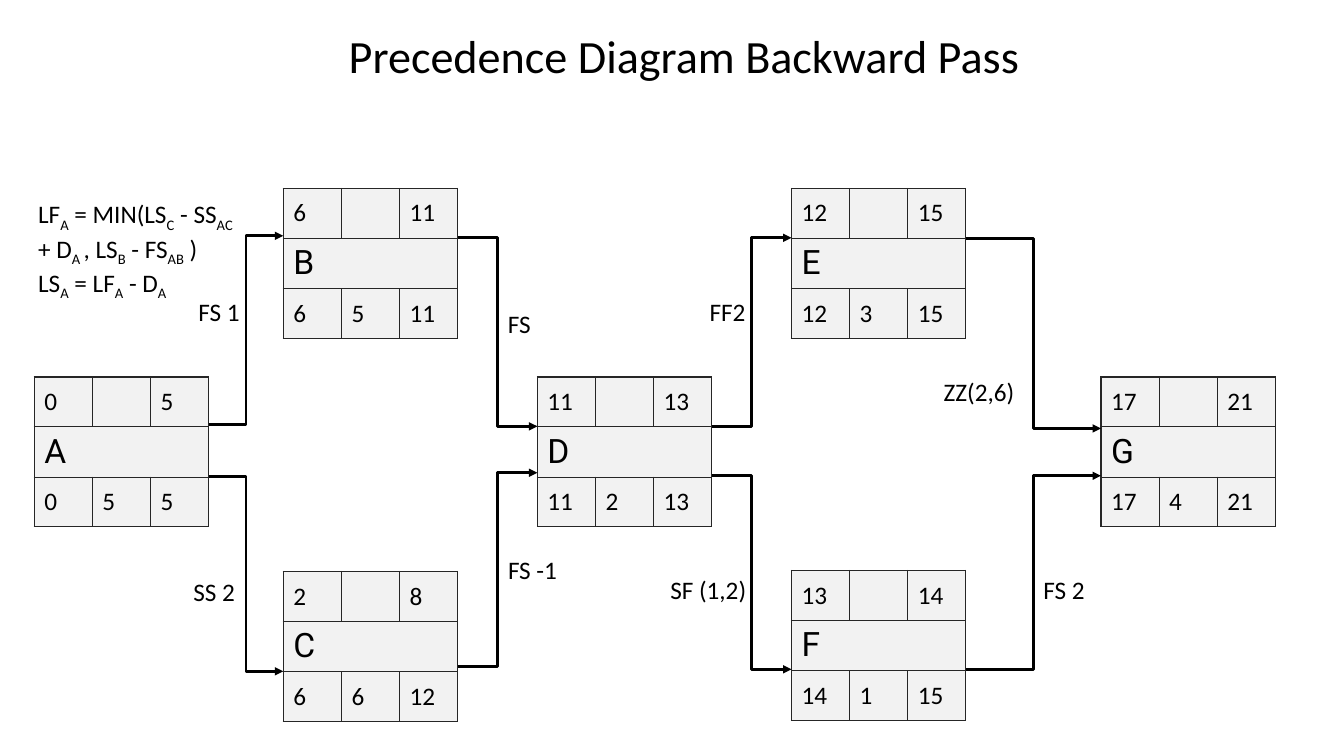
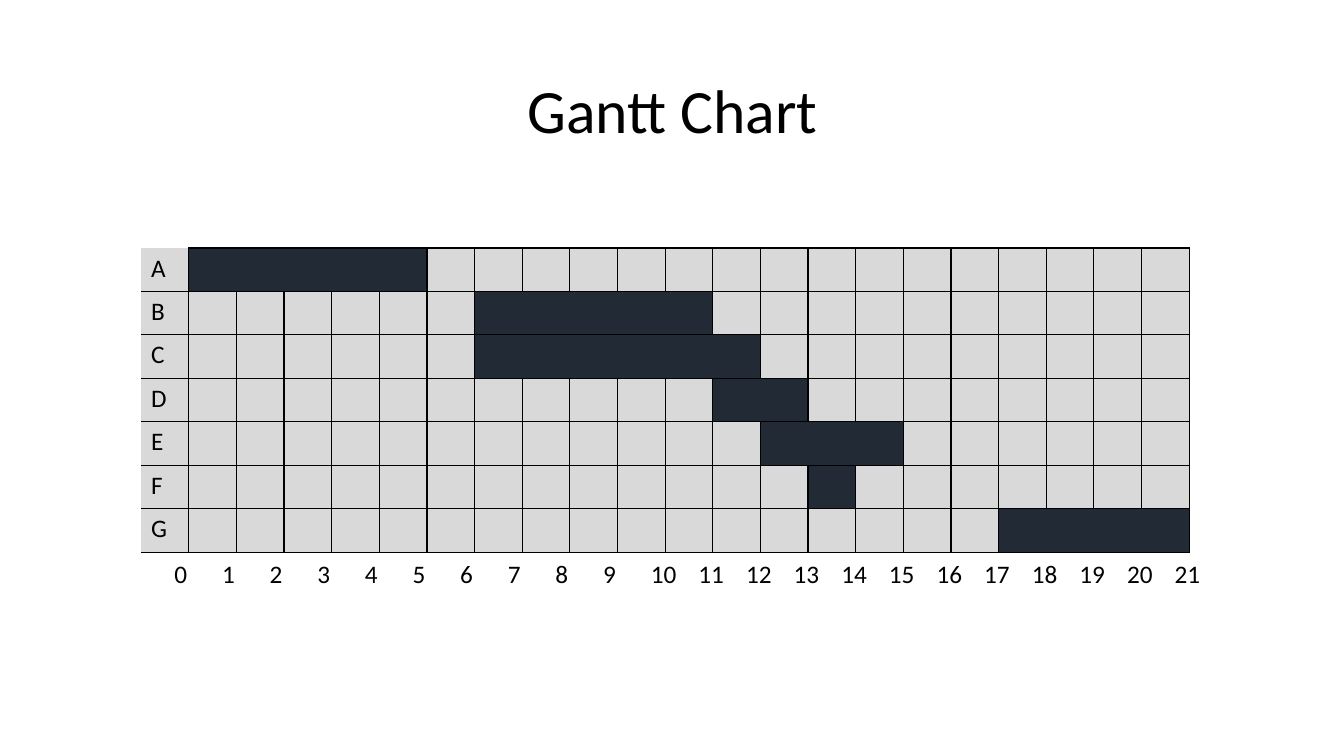
"""Build a precedence diagram slide and its Gantt chart slide."""
from lxml import etree
from pptx import Presentation
from pptx.dml.color import RGBColor
from pptx.enum.shapes import MSO_CONNECTOR
from pptx.enum.text import MSO_ANCHOR, PP_ALIGN
from pptx.oxml.ns import qn
from pptx.util import Inches, Pt

ELBOW = MSO_CONNECTOR.ELBOW
MIDDLE, TOP = MSO_ANCHOR.MIDDLE, MSO_ANCHOR.TOP
CENTER = PP_ALIGN.CENTER

BLACK, WHITE, EDGE = "000000", "FFFFFF", "262626"
PALE, GREY, NAVY = "F2F2F2", "D9D9D9", "222A35"
BODY = {"name": "Calibri", "size": Pt(18), "bold": False}
NAME = {"name": "Roboto", "size": Pt(24), "bold": False}

TITLES = [
    ("Precedence Diagram Backward Pass", 33, 0.7, (0.34, 0.34, 12.89, 0.54)),
    ("Gantt Chart", 44, 0.9, (0.92, 0.4, 11.5, 1.45)),
]
NODES = [
    ("A", 0.34, 3.74, (0, 5), (0, 5, 5)),
    ("B", 2.81, 1.87, (6, 11), (6, 5, 11)),
    ("C", 2.81, 5.67, (2, 8), (6, 6, 12)),
    ("D", 5.33, 3.74, (11, 13), (11, 2, 13)),
    ("E", 7.85, 1.87, (12, 15), (12, 3, 15)),
    ("F", 7.85, 5.66, (13, 14), (14, 1, 15)),
    ("G", 10.92, 3.74, (17, 21), (17, 4, 21)),
]
NODE_W, NODE_H = 1.73, 1.48
LINKS = [
    ("A", 4.21, "B", 2.34),
    ("A", 4.73, "C", 6.66),
    ("B", 2.36, "D", 4.23),
    ("C", 6.61, "D", 4.69),
    ("D", 4.23, "E", 2.36),
    ("D", 4.72, "F", 6.64),
    ("E", 2.37, "G", 4.25),
    ("F", 6.64, "G", 4.72),
]
LABELS = [
    ("FS 1", 1.87, 2.89, 0.62),
    ("SS 2", 1.82, 5.67, 0.62),
    ("FS", 4.94, 3.01, 0.43),
    ("FS -1", 4.94, 5.45, 0.69),
    ("FF2", 6.94, 2.89, 0.56),
    ("SF (1,2)", 6.55, 5.65, 0.96),
    ("ZZ(2,6)", 9.26, 3.68, 0.95),
    ("FS 2", 10.25, 5.65, 0.62),
]
RULES = [
    "LF_A_ = MIN(LS_C_ - SS_AC_ + D_A _, LS_B_ - FS_AB_ )",
    "LS_A_ = LF_A_ - D_A_",
]
TASKS = [("A", 0, 5), ("B", 6, 11), ("C", 6, 12), ("D", 11, 13),
         ("E", 12, 15), ("F", 13, 14), ("G", 17, 21)]
DAYS = 21


def color(code):
    return RGBColor.from_string(code)


def style(font, form):
    for key, value in form.items():
        setattr(font, key, value)
    font.color.rgb = color(BLACK)


def write(para, text, form=BODY):
    for i, part in enumerate(text.split("_")):
        if part:
            run = para.add_run()
            run.text = part
            style(run.font, form)
            if i % 2:
                run._r.get_or_add_rPr().set("baseline", "-25000")


def add_text(slide, box, lines, form=BODY, wrap=True, anchor=TOP):
    frame = slide.shapes.add_textbox(*map(Inches, box)).text_frame
    frame.word_wrap, frame.vertical_anchor = wrap, anchor
    for i, line in enumerate(lines):
        para = frame.add_paragraph() if i else frame.paragraphs[0]
        write(para, line, form)
    return frame


def add_title(slide, text, size, space, box):
    form = BODY | {"size": Pt(size)}
    para = add_text(slide, box, [text], form, anchor=MIDDLE).paragraphs[0]
    para.alignment, para.line_spacing = CENTER, space


def add_grid(slide, box, rows, cols):
    frame = slide.shapes.add_table(rows, cols, *map(Inches, box))
    table = frame.table
    table.first_row = table.horz_banding = False
    for col in table.columns:
        col.width = Inches(box[2] / cols)
    for row in table.rows:
        row.height = Inches(box[3] / rows)
    return table


def set_cell(cell, text, fill, edge, form=BODY, anchor=MIDDLE, bare=""):
    cell.fill.solid()
    cell.fill.fore_color.rgb = color(fill)
    cell.vertical_anchor = anchor
    para = cell.text_frame.paragraphs[0]
    style(para.font, form)
    write(para, text, form)
    props = cell._tc.get_or_add_tcPr()
    for i, side in enumerate("LRTB"):
        line = etree.Element(qn("a:ln" + side), w=str(Pt(1)))
        if side in bare:
            etree.SubElement(line, qn("a:noFill"))
        else:
            paint = etree.SubElement(line, qn("a:solidFill"))
            etree.SubElement(paint, qn("a:srgbClr"), val=edge)
        props.insert(i, line)


def add_node(slide, name, x, y, early, late):
    table = add_grid(slide, (x, y, NODE_W, NODE_H), 3, 3)
    rows = [(early[0], "", early[1]), (name, "", ""), late]
    for r, row in enumerate(rows):
        for c, value in enumerate(row):
            form = NAME if r == 1 else BODY
            set_cell(table.cell(r, c), str(value), PALE, EDGE, form)
    table.cell(1, 0).merge(table.cell(1, 2))


def add_link(slide, x1, y1, x2, y2):
    link = slide.shapes.add_connector(ELBOW, *map(Inches, (x1, y1, x2, y2)))
    link.line.width = Pt(2)
    link.line.color.rgb = color(BLACK)
    etree.SubElement(link.line._ln, qn("a:tailEnd"), type="triangle")
    etree.SubElement(link._element.spPr, qn("a:effectLst"))


def draw_net(slide):
    for node in NODES:
        add_node(slide, *node)
    left = {node[0]: node[1] for node in NODES}
    for start, y1, end, y2 in LINKS:
        add_link(slide, left[start] + NODE_W, y1, left[end], y2)
    for text, x, y, width in LABELS:
        add_text(slide, (x, y, width, 0.4), [text], wrap=False)
    add_text(slide, (0.28, 1.92, 2.2, 1.01), RULES)


def draw_gantt(slide):
    table = add_grid(slide, (1.4, 2.46, 10.4, 3.02), len(TASKS), DAYS + 1)
    for r, (name, start, end) in enumerate(TASKS):
        bare = "L" if r else "LT"
        set_cell(table.cell(r, 0), name, GREY, BLACK, anchor=TOP, bare=bare)
        for day in range(DAYS):
            fill = NAVY if start <= day < end else GREY
            set_cell(table.cell(r, day + 1), "", fill, BLACK)
        if end - start > 1:
            table.cell(r, start + 1).merge(table.cell(r, end))
    scale = add_grid(slide, (1.63, 5.5, 10.4, 0.41), 1, DAYS + 1)
    for day in range(DAYS + 1):
        set_cell(scale.cell(0, day), str(day), WHITE, WHITE)


deck = Presentation()
deck.slide_width, deck.slide_height = Inches(13.33), Inches(7.5)
for title, draw in zip(TITLES, (draw_net, draw_gantt)):
    slide = deck.slides.add_slide(deck.slide_layouts[6])
    add_title(slide, *title)
    draw(slide)
deck.save("out.pptx")
